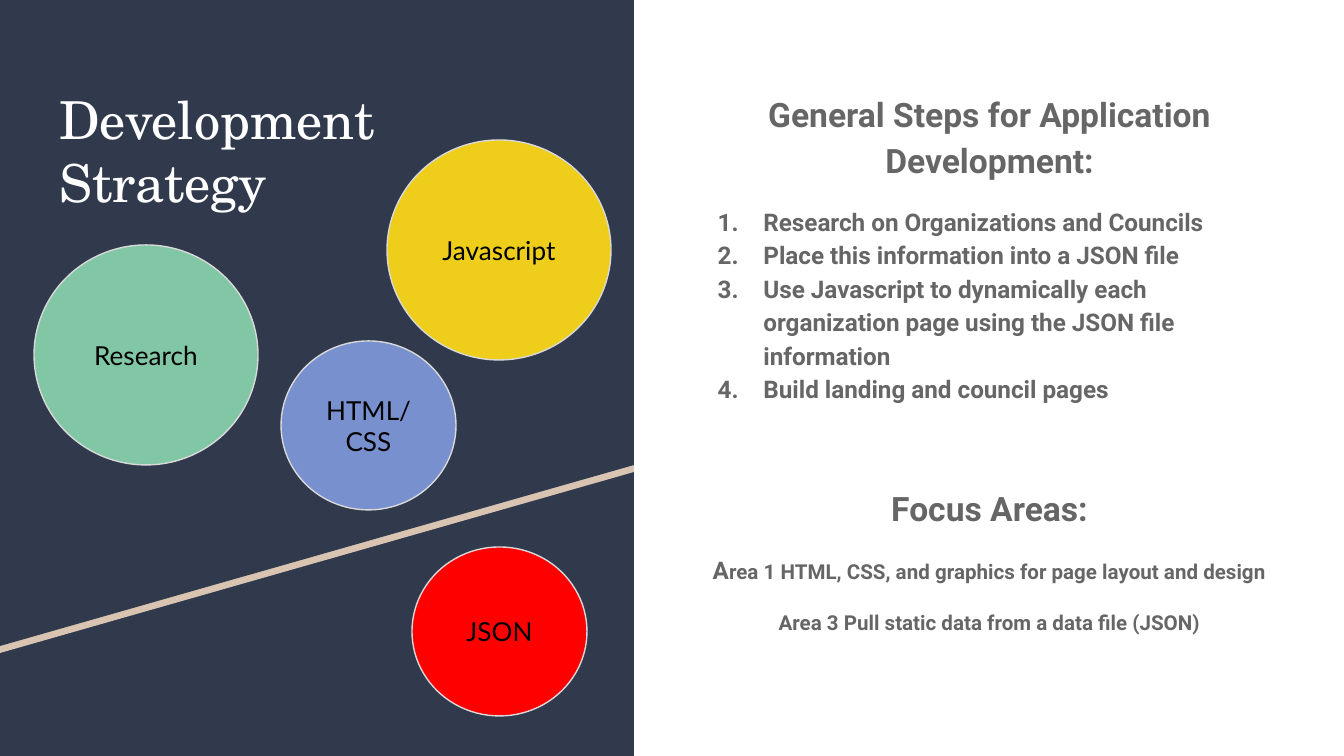
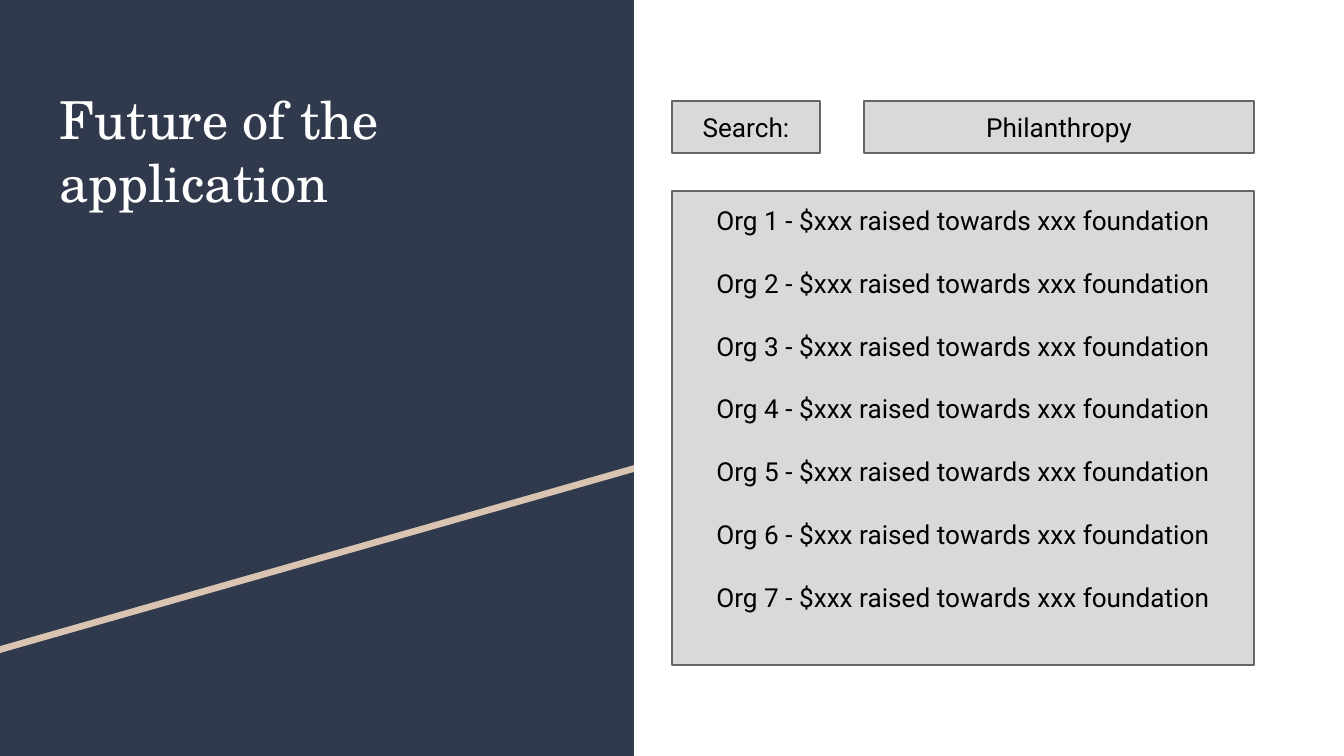
"""Build the two slides on development strategy and the application's future."""
import dataclasses

import lxml.etree
import pptx
import pptx.dml.color
import pptx.enum.shapes
import pptx.enum.text
import pptx.oxml.ns
import pptx.util

EMU_PER_PX = 914400 / 134.4
SHAPE = pptx.enum.shapes.MSO_SHAPE
ALIGN = pptx.enum.text.PP_ALIGN
ANCHOR = pptx.enum.text.MSO_ANCHOR


@dataclasses.dataclass(frozen=True)
class Theme:
    """Colours, fonts and type sizes shared by the slides."""
    navy: str = "31394D"
    sand: str = "D9C4B1"
    white: str = "FFFFFF"
    black: str = "000000"
    gray: str = "666666"
    light: str = "D9D9D9"
    green: str = "82C7A5"
    red: str = "FF0000"
    yellow: str = "EECE1A"
    blue: str = "7890CD"
    title_font: str = "TeX Gyre Schola"
    body_font: str = "Roboto"
    circle_font: str = "Lato"
    title_size: int = 28
    heading_size: int = 18
    label_size: int = 14
    step_size: int = 13
    area_size: int = 11
    outline: float = 0.75


THEME = Theme()


def px(length):
    """Turn pixels into EMU."""
    return pptx.util.Emu(round(length * EMU_PER_PX))


def color(value):
    """Turn a hex string into a colour."""
    return pptx.dml.color.RGBColor.from_string(value)


def style_run(run, font, size, ink, bold=False):
    """Give a run its font, size, colour and weight."""
    run.font.name = font
    run.font.size = pptx.util.Pt(size)
    run.font.color.rgb = color(ink)
    run.font.bold = bold


def set_frame(frame, anchor):
    """Wrap a text frame, inset it evenly and anchor it."""
    frame.word_wrap = True
    frame.auto_size = pptx.enum.text.MSO_AUTO_SIZE.NONE
    frame.vertical_anchor = anchor
    frame.margin_left = frame.margin_right = pptx.util.Inches(0.1)
    frame.margin_top = frame.margin_bottom = pptx.util.Inches(0.1)


def paint(shape, fill, line=None):
    """Fill a shape flatly, with or without an outline."""
    shape.shadow.inherit = False
    shape.fill.solid()
    shape.fill.fore_color.rgb = color(fill)
    if line:
        shape.line.color.rgb = color(line)
        shape.line.width = pptx.util.Pt(THEME.outline)
    else:
        shape.line.fill.background()


def add_label(slide, kind, box, lines, font, fill, line, anchor=ANCHOR.MIDDLE, gap=0):
    """Add an outlined shape with centred lines of text."""
    shape = slide.shapes.add_shape(kind, *map(px, box))
    paint(shape, fill, line)
    frame = shape.text_frame
    set_frame(frame, anchor)
    for index, text in enumerate(lines):
        paragraph = frame.paragraphs[0] if index == 0 else frame.add_paragraph()
        paragraph.text = text
        paragraph.alignment = ALIGN.CENTER
        paragraph.space_before = pptx.util.Pt(gap if index else 0)
        style_run(paragraph.runs[0], font, THEME.label_size, THEME.black)


def add_slope(slide, box, drop, fill):
    """Add a band whose lower edge rises to the right, shifted down by drop."""
    left, top, width, height = box
    right, rise = left + width, 181
    top, bottom = top + drop, top + 646 + drop
    outline = slide.shapes.build_freeform(px(left), px(top))
    corners = [(right, top), (right, bottom - rise), (left, bottom)]
    outline.add_line_segments([(px(x), px(y)) for x, y in corners])
    paint(outline.convert_to_shape(), fill)


def add_panel(slide, box, title, title_height):
    """Draw the dark left panel, its sloping stripe and the title."""
    left, top, width, height = box
    paint(slide.shapes.add_shape(SHAPE.RECTANGLE, *map(px, box)), THEME.navy)
    add_slope(slide, box, 7, THEME.sand)
    add_slope(slide, box, 0, THEME.navy)
    heading = slide.shapes.title
    heading.element.getparent().append(heading.element)
    heading.left, heading.top = px(left + 46), px(top + 74)
    heading.width, heading.height = px(544), px(title_height)
    heading.text_frame.text = title
    set_frame(heading.text_frame, ANCHOR.TOP)
    paragraph = heading.text_frame.paragraphs[0]
    paragraph.alignment = ALIGN.LEFT
    style_run(paragraph.runs[0], THEME.title_font, THEME.title_size, THEME.white)


def add_circles(slide, box):
    """Place the four technology circles on the panel."""
    left, top, width, height = box
    large, small = (224, 220), (175, 169)
    circles = [
        ("Research", 34, 245, large, THEME.green),
        ("JSON", 412, 547, small, THEME.red),
        ("Javascript", 387, 140, large, THEME.yellow),
        ("HTML/CSS", 281, 341, small, THEME.blue),
    ]
    for topic, x, y, size, fill in circles:
        add_label(slide, SHAPE.OVAL, (left + x, top + y, *size), [topic],
                  THEME.circle_font, fill, THEME.light)


def number_step(paragraph):
    """Turn a paragraph into a numbered step with a hanging indent."""
    properties = paragraph._p.get_or_add_pPr()
    properties.set("marL", str(pptx.util.Inches(0.5)))
    properties.set("indent", str(pptx.util.Inches(-0.34)))
    qn = pptx.oxml.ns.qn
    ink = lxml.etree.SubElement(properties, qn("a:buClr"))
    lxml.etree.SubElement(ink, qn("a:srgbClr"), val=THEME.gray)
    lxml.etree.SubElement(properties, qn("a:buFont"), typeface=THEME.body_font)
    lxml.etree.SubElement(properties, qn("a:buAutoNum"), type="arabicPeriod")


def add_plan(slide, box):
    """Write the general steps and the focus areas."""
    heading, step, area = THEME.heading_size, THEME.step_size, THEME.area_size
    steps = [
        "Research on Organizations and Councils",
        "Place this information into a JSON file",
        "Use Javascript to dynamically each organization page using the JSON file information",
        "Build landing and council pages",
    ]
    plan = [("General Steps for Application Development:", heading, 0)]
    plan += [(text, step, 0 if index else 12) for index, text in enumerate(steps)]
    plan += [
        ("Focus Areas:", heading, 42),
        ("Area 1 HTML, CSS, and graphics for page layout and design", area, 12),
        ("Area 3 Pull static data from a data file (JSON)", area, 12),
    ]
    frame = slide.shapes.add_textbox(*map(px, box)).text_frame
    set_frame(frame, ANCHOR.TOP)
    for index, (text, size, gap) in enumerate(plan):
        paragraph = frame.paragraphs[0] if index == 0 else frame.add_paragraph()
        paragraph.line_spacing = 1.15
        paragraph.space_before = pptx.util.Pt(gap)
        if text in steps:
            paragraph.alignment = ALIGN.LEFT
            number_step(paragraph)
        else:
            paragraph.alignment = ALIGN.CENTER
        parts = [(text, size)]
        if text.startswith("Area 1"):
            parts = [(text[:1], step), (text[1:], size)]
        for part, part_size in parts:
            run = paragraph.add_run()
            run.text = part
            style_run(run, THEME.body_font, part_size, THEME.gray, bold=True)


def add_search(slide, box):
    """Mock up the search row and its list of results."""
    left, top, width, height = box
    results = [f"Org {n} - $xxx raised towards xxx foundation" for n in range(1, 8)]
    look = (THEME.body_font, THEME.light, THEME.gray)
    add_label(slide, SHAPE.RECTANGLE, (left + 192, top, width - 192, 52),
              ["Philanthropy"], *look)
    add_label(slide, SHAPE.RECTANGLE, (left, top, 148, 52), ["Search:"], *look)
    add_label(slide, SHAPE.RECTANGLE, (left, top + 90, width, height - 90),
              results, *look, anchor=ANCHOR.TOP, gap=16.8)


def main():
    """Build both slides and save them."""
    deck = pptx.Presentation()
    deck.slide_width, deck.slide_height = px(1344), px(756)
    title_only = deck.slide_layouts[5]
    panel = (0, 0, 634, 756)

    strategy = deck.slides.add_slide(title_only)
    add_panel(strategy, panel, "Development Strategy", 153)
    add_plan(strategy, (683, 74, 613, 602))
    add_circles(strategy, panel)

    future = deck.slides.add_slide(title_only)
    add_panel(future, panel, "Future of the application", 368)
    add_search(future, (672, 101, 582, 564))

    deck.save("out.pptx")


if __name__ == "__main__":
    main()
